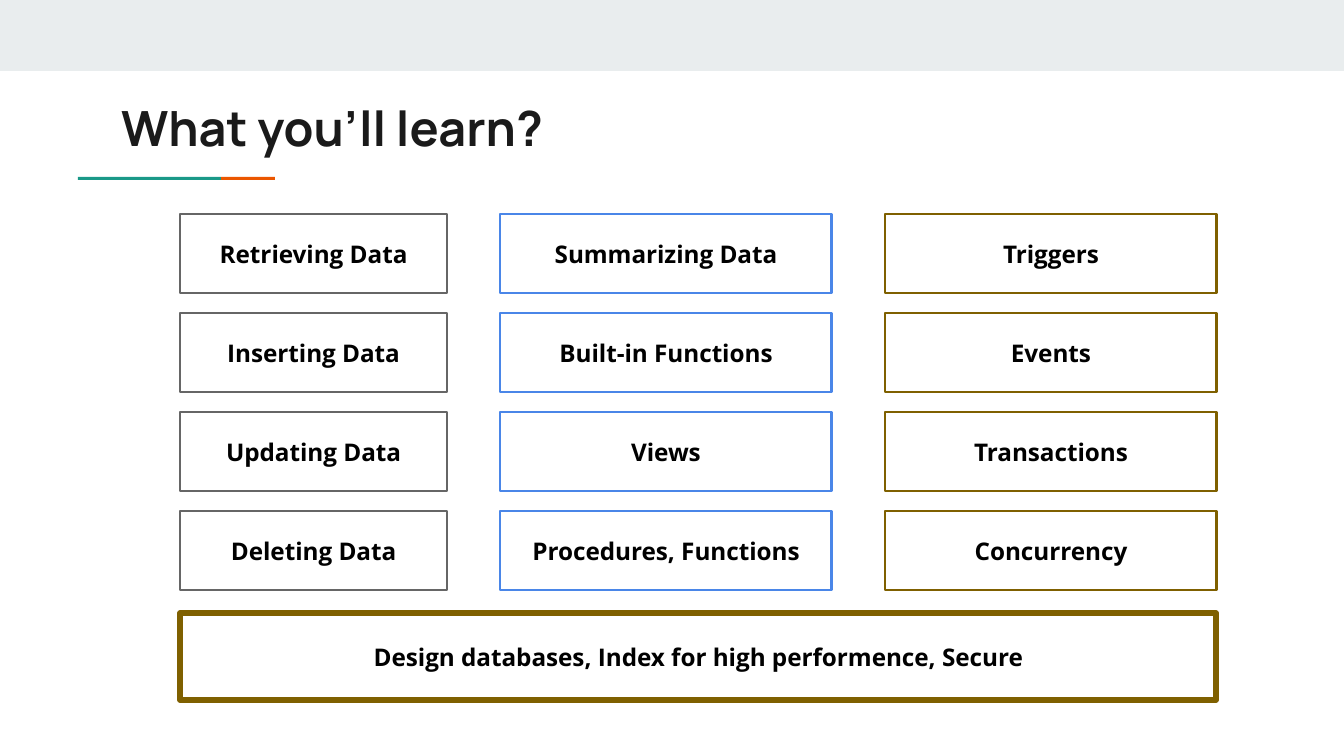
from dataclasses import dataclass

from pptx import Presentation
from pptx.dml.color import RGBColor
from pptx.enum.shapes import MSO_SHAPE
from pptx.enum.text import MSO_ANCHOR, MSO_AUTO_SIZE, PP_ALIGN
from pptx.shapes.autoshape import Shape
from pptx.slide import Slide
from pptx.text.text import TextFrame
from pptx.util import Emu, Pt

RECT = MSO_SHAPE.RECTANGLE
TOP, MIDDLE = MSO_ANCHOR.TOP, MSO_ANCHOR.MIDDLE
LEFT, CENTER = PP_ALIGN.LEFT, PP_ALIGN.CENTER
NO_FIT = MSO_AUTO_SIZE.NONE

SCALE = 914400 / 134.4
INSET = 13
GRID_TOP, PITCH, BOX_HIGH = 214, 99, 79
BROWN = "7F6000"


@dataclass
class Area:
    x: int
    y: int
    wide: int
    high: int


@dataclass
class Bar:
    area: Area
    color: str


@dataclass
class Column:
    x: int
    wide: int
    color: str
    topics: list[str]


BARS = [
    Bar(Area(0, 0, 1344, 71), "E9EDEE"),
    Bar(Area(78, 177, 143, 3), "1A9988"),
    Bar(Area(221, 177, 54, 3), "EB5600"),
]

COLUMNS = [
    Column(180, 267, "666666",
           ["Retrieving Data", "Inserting Data", "Updating Data", "Deleting Data"]),
    Column(500, 332, "4A86E8",
           ["Summarizing Data", "Built-in Functions", "Views", "Procedures, Functions"]),
    Column(885, 332, BROWN,
           ["Triggers", "Events", "Transactions", "Concurrency"]),
]


def px(count: int) -> Emu:
    return Emu(round(count * SCALE))


def rgb(code: str) -> RGBColor:
    return RGBColor.from_string(code)


def write(frame: TextFrame, text: str, font: str, size: int, color: str,
          align: PP_ALIGN, anchor: MSO_ANCHOR) -> None:
    frame.word_wrap = True
    frame.auto_size = NO_FIT
    frame.vertical_anchor = anchor
    frame.margin_left = frame.margin_right = px(INSET)
    frame.margin_top = frame.margin_bottom = px(INSET)
    line = frame.paragraphs[0]
    line.alignment = align
    run = line.add_run()
    run.text = text
    run.font.name = font
    run.font.size = Pt(size)
    run.font.bold = True
    run.font.color.rgb = rgb(color)


def add_rect(slide: Slide, area: Area) -> Shape:
    shape = slide.shapes.add_shape(
        RECT, px(area.x), px(area.y), px(area.wide), px(area.high))
    shape.shadow.inherit = False
    return shape


def add_bar(slide: Slide, bar: Bar) -> None:
    shape = add_rect(slide, bar.area)
    shape.fill.solid()
    shape.fill.fore_color.rgb = rgb(bar.color)
    shape.line.fill.background()


def add_box(slide: Slide, area: Area, text: str, color: str, weight: float) -> None:
    shape = add_rect(slide, area)
    shape.fill.background()
    shape.line.color.rgb = rgb(color)
    shape.line.width = Pt(weight)
    write(shape.text_frame, text, "Open Sans", 13, "000000", CENTER, MIDDLE)


def add_title(slide: Slide, area: Area, text: str) -> None:
    title = slide.shapes.title
    title.left, title.top = px(area.x), px(area.y)
    title.width, title.height = px(area.wide), px(area.high)
    write(title.text_frame, text, "Manrope", 26, "1A1A1A", LEFT, TOP)


def main() -> None:
    deck = Presentation()
    deck.slide_width, deck.slide_height = px(1344), px(756)
    slide = deck.slides.add_slide(deck.slide_layouts[5])
    for bar in BARS:
        add_bar(slide, bar)
    add_title(slide, Area(108, 85, 1130, 79), "What you’ll learn?")
    for column in COLUMNS:
        for row, topic in enumerate(column.topics):
            area = Area(column.x, GRID_TOP + row * PITCH, column.wide, BOX_HIGH)
            add_box(slide, area, topic, column.color, 1.5)
    add_box(slide, Area(180, 613, 1036, 87),
            "Design databases, Index for high performence, Secure", BROWN, 3)
    deck.save("out.pptx")


if __name__ == "__main__":
    main()
